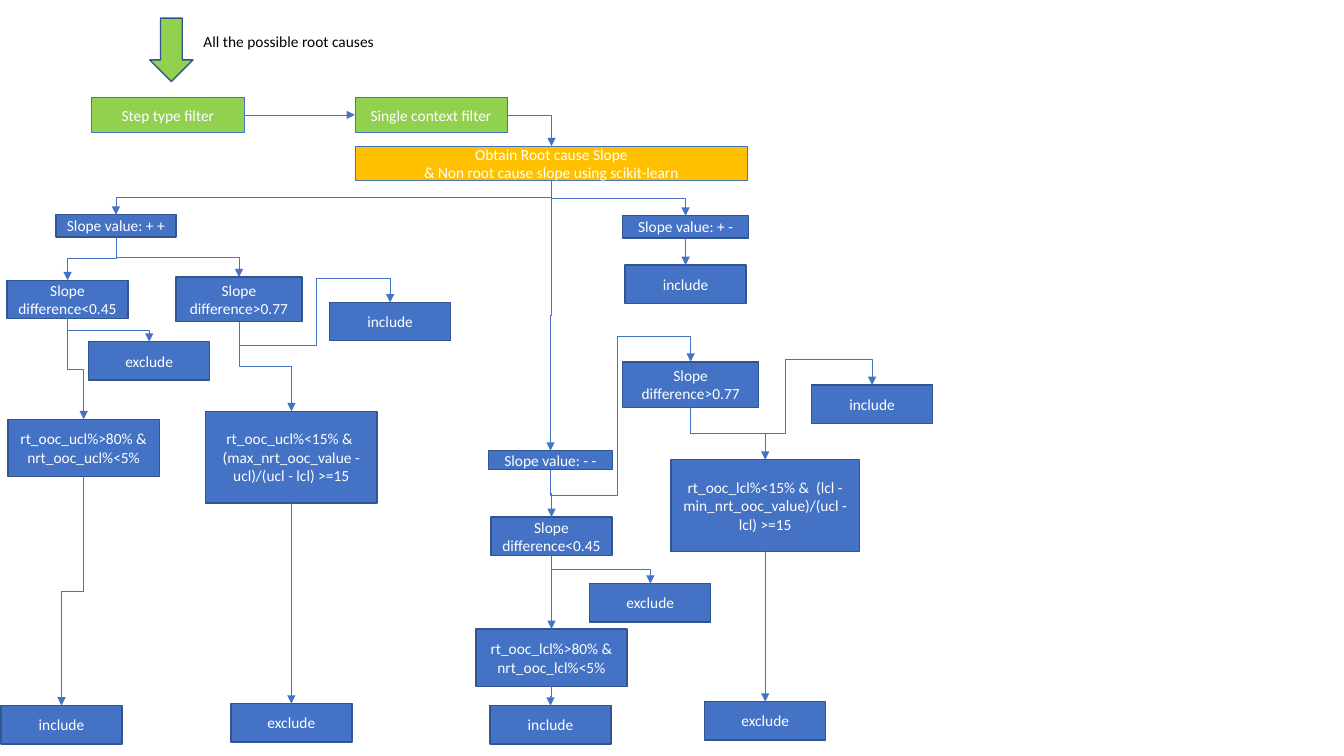
import pptx
import pptx.dml.color
import pptx.enum.shapes
import pptx.enum.text
import pptx.oxml
import pptx.oxml.ns
import pptx.util

SHAPES = pptx.enum.shapes.MSO_SHAPE
TOP, LEFT, BOTTOM, RIGHT = range(4)
BLUE, NAVY, GREEN, AMBER = "4472C4", "325491", "92D050", "FFC000"
WHITE, BLACK = "FFFFFF", "000000"


def color(hex_string):
    return pptx.dml.color.RGBColor.from_string(hex_string)


def apply(target, values):
    for name, value in values.items():
        setattr(target, name, value)


class Flowchart:
    """Draws flowchart elements on one slide, on a grid of 0.1 inch cells."""

    font = {"name": "Calibri", "size": pptx.util.Pt(11)}
    frame = {"word_wrap": True, "vertical_anchor": pptx.enum.text.MSO_ANCHOR.MIDDLE}
    label_frame = {"word_wrap": True, "auto_size": pptx.enum.text.MSO_AUTO_SIZE.SHAPE_TO_FIT_TEXT}

    def __init__(self, slide):
        self.slide = slide

    def cells(self, *counts):
        return [pptx.util.Inches(count / 10) for count in counts]

    def set_text(self, shape, text, frame, font_color, alignment):
        apply(shape.text_frame, frame)
        shape.text_frame.text = text
        for paragraph in shape.text_frame.paragraphs:
            paragraph.alignment = alignment
            apply(paragraph.font, self.font)
            paragraph.font.color.rgb = color(font_color)

    def block(self, kind, center, top, width, height, fill=BLUE, line=NAVY, weight=1):
        box = self.cells(center - width / 2, top, width, height)
        shape = self.slide.shapes.add_shape(kind, *box)
        shape.shadow.inherit = False
        shape.fill.solid()
        shape.fill.fore_color.rgb = color(fill)
        shape.line.color.rgb = color(line)
        shape.line.width = pptx.util.Pt(weight)
        return shape

    def process(self, text, *place, **style):
        shape = self.block(SHAPES.FLOWCHART_PROCESS, *place, **style)
        self.set_text(shape, text, self.frame, WHITE, pptx.enum.text.PP_ALIGN.CENTER)
        return shape

    def label(self, text, left, top, width, height):
        box = self.slide.shapes.add_textbox(*self.cells(left, top, width, height))
        self.set_text(box, text, self.label_frame, BLACK, pptx.enum.text.PP_ALIGN.LEFT)

    def arrow(self, source, target, sides=(BOTTOM, TOP), preset="bentConnector3", bends=(0.5,)):
        elbow = pptx.enum.shapes.MSO_CONNECTOR.ELBOW
        connector = self.slide.shapes.add_connector(elbow, 0, 0, 0, 0)
        connector.begin_connect(source, sides[0])
        connector.end_connect(target, sides[1])
        connector.line.color.rgb = color(BLUE)
        connector.line.width = pptx.util.Pt(0.5)
        properties = connector._element.spPr
        if sides[0] == BOTTOM:
            self.turn(connector, properties.xfrm)
        geometry = properties.find(pptx.oxml.ns.qn("a:prstGeom"))
        geometry.set("prst", preset)
        guides = geometry.find(pptx.oxml.ns.qn("a:avLst"))
        namespace = pptx.oxml.ns.nsdecls("a")
        for number, bend in enumerate(bends, 1):
            guides.append(pptx.oxml.parse_xml(
                f'<a:gd {namespace} name="adj{number}" fmla="val {round(bend * 100000)}"/>'))
        outline = properties.find(pptx.oxml.ns.qn("a:ln"))
        outline.append(pptx.oxml.parse_xml(f'<a:tailEnd {namespace} type="triangle"/>'))
        properties.append(pptx.oxml.parse_xml(f"<a:effectLst {namespace}/>"))

    def turn(self, connector, transform):
        across = connector.end_x - connector.begin_x
        down = connector.end_y - connector.begin_y
        middle_x = (connector.begin_x + connector.end_x) // 2
        middle_y = (connector.begin_y + connector.end_y) // 2
        apply(connector, {
            "left": middle_x - abs(down) // 2,
            "top": middle_y - abs(across) // 2,
            "width": abs(down),
            "height": abs(across),
        })
        rightward, upward = across > 0, down < 0
        degrees = 270 if rightward and not upward else 90
        transform.set("rot", str(degrees * 60000))
        transform.set("flipH", str(int(rightward or upward)))
        transform.set("flipV", str(int(rightward and upward)))


def main():
    presentation = pptx.Presentation()
    presentation.slide_width = pptx.util.Inches(13.33)
    presentation.slide_height = pptx.util.Inches(7.5)
    slide = presentation.slides.add_slide(presentation.slide_layouts[6])
    chart = Flowchart(slide)

    chart.block(SHAPES.DOWN_ARROW, 17, 1.8, 4.3, 6.3, fill=GREEN)
    chart.label("All the possible root causes", 19.2, 2.7, 19, 2.9)

    filter_style = {"fill": GREEN, "line": BLUE, "weight": 0.5}
    step = chart.process("Step type filter", 16.65, 9.7, 15.1, 3.4, **filter_style)
    context = chart.process("Single context filter", 42.75, 9.7, 15.1, 3.4, **filter_style)
    slope = chart.process("Obtain Root cause Slope\n& Non root cause slope using scikit-learn",
                          54.7, 14.5, 38.9, 3.4, fill=AMBER, line=BLUE, weight=0.5)
    chart.arrow(step, context, (RIGHT, LEFT))
    chart.arrow(context, slope, (RIGHT, TOP), "bentConnector2", ())

    outcome, small, large = (12, 3.8), "Slope difference<0.45", "Slope difference>0.77"
    nodes = {
        "++": ("Slope value: + +", 11.5, 21.3, 11.9, 2.2),
        "--": ("Slope value: - -", 54.6, 44.7, 12.3, 1.9),
        "+-": ("Slope value: + -", 68, 21.4, 12.5, 2.2),
        "++ small": (small, 6.7, 27.8, *outcome),
        "++ large": (large, 23.7, 27.5, 12.5, 4.4),
        "-- small": (small, 54.7, 51.3, *outcome),
        "-- large": (large, 68.5, 35.9, 13.5, 4.5),
        "ucl high": ("rt_ooc_ucl%>80% & nrt_ooc_ucl%<5%", 8.3, 41.6, 15, 5.7),
        "ucl low": ("rt_ooc_ucl%<15% &  (max_nrt_ooc_value - ucl)/(ucl - lcl) >=15",
                    28.9, 40.8, 17, 9.1),
        "lcl high": ("rt_ooc_lcl%>80% & nrt_ooc_lcl%<5%", 54.7, 62.4, 15, 5.7),
        "lcl low": ("rt_ooc_lcl%<15% &  (lcl - min_nrt_ooc_value)/(ucl - lcl) >=15",
                    75.9, 45.6, 18.7, 9.1),
        "+- include": ("include", 68, 26.3, *outcome),
        "++ small exclude": ("exclude", 14.8, 33.9, *outcome),
        "++ large include": ("include", 38.7, 30, *outcome),
        "-- small exclude": ("exclude", 64.5, 57.9, *outcome),
        "-- large include": ("include", 86.5, 38.2, *outcome),
        "ucl high include": ("include", 6.1, 70, *outcome),
        "ucl low exclude": ("exclude", 28.9, 69.8, *outcome),
        "lcl high include": ("include", 54.6, 70, *outcome),
        "lcl low exclude": ("exclude", 75.9, 69.6, *outcome),
    }
    boxes = {name: chart.process(*values) for name, values in nodes.items()}

    for sign in ("++", "--", "+-"):
        chart.arrow(slope, boxes[sign])
    branches = [
        ("++", "++ small"), ("++", "++ large"), ("--", "-- small"), ("+-", "+- include"),
        ("++ small", "ucl high"), ("++ small", "++ small exclude"), ("++ large", "ucl low"),
        ("-- small", "lcl high"), ("-- small", "-- small exclude"), ("-- large", "lcl low"),
        ("ucl high", "ucl high include"), ("ucl low", "ucl low exclude"),
        ("lcl high", "lcl high include"), ("lcl low", "lcl low exclude"),
    ]
    for source, target in branches:
        chart.arrow(boxes[source], boxes[target])
    detours = [
        ("++ large", "++ large include", (-1.26, 0.51, 2.26)),
        ("--", "-- large", (-0.24, 0.48, 1.24)),
        ("-- large", "-- large include", (-1.16, 0.52, 2.16)),
    ]
    for source, target, bends in detours:
        chart.arrow(boxes[source], boxes[target], preset="bentConnector5", bends=bends)

    presentation.save("out.pptx")


if __name__ == "__main__":
    main()
